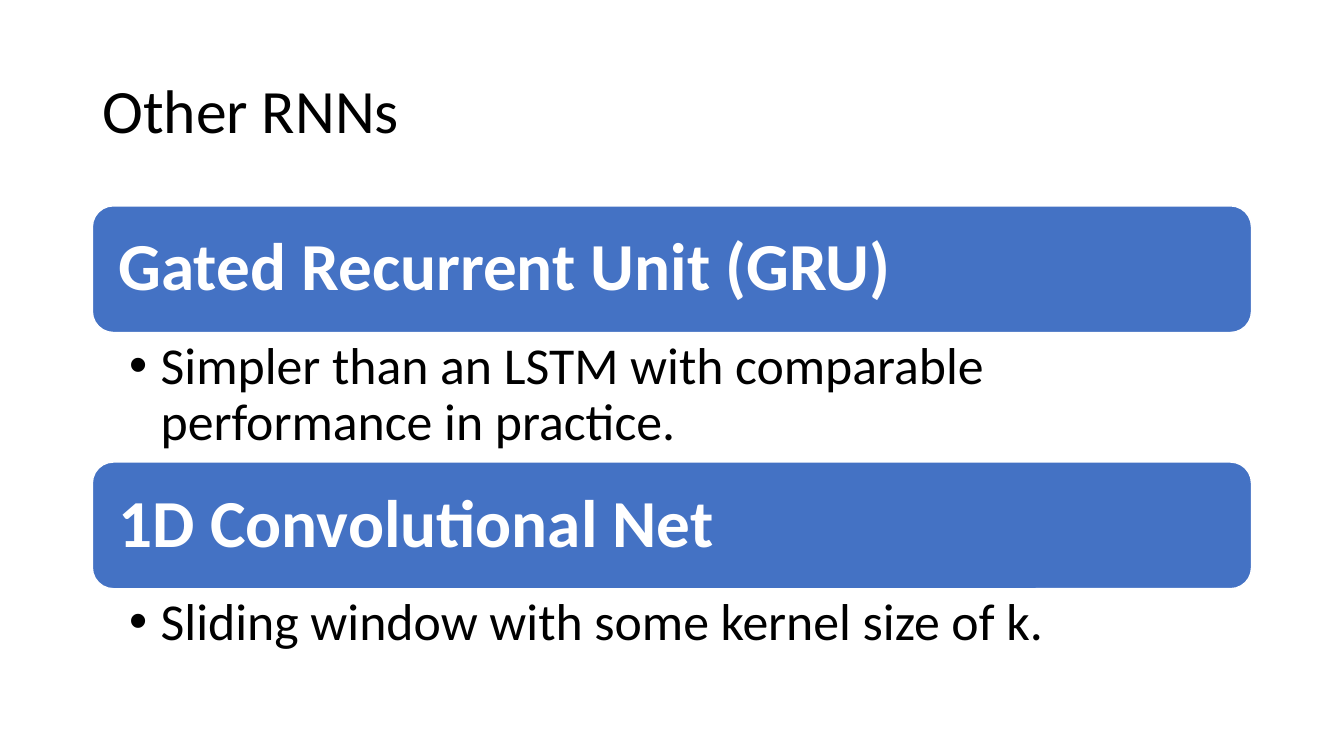
from lxml.etree import SubElement
from pptx import Presentation
from pptx.dml.color import RGBColor
from pptx.enum.shapes import MSO_SHAPE
from pptx.enum.text import MSO_ANCHOR, PP_ALIGN
from pptx.oxml.ns import qn
from pptx.util import Pt

BLUE = RGBColor(0x44, 0x72, 0xC4)
WHITE = RGBColor(0xFF, 0xFF, 0xFF)
BLACK = RGBColor(0x00, 0x00, 0x00)
FONT = "Calibri"

LEFT, WIDTH = 66, 828
SECTIONS_TOP = 147
BAR_HEIGHT = 90.5
BULLET_INDENT = 22.5

# Heading, detail, height of the detail text
SECTIONS = [
    ("Gated Recurrent Unit (GRU)",
     "Simpler than an LSTM with comparable performance in practice.", 92.5),
    ("1D Convolutional Net",
     "Sliding window with some kernel size of k.", 62.5),
]


def write_text(shape, text, size, color, margins, anchor, bold=False):
    frame = shape.text_frame
    frame.word_wrap = True
    frame.vertical_anchor = anchor
    side, edge = margins
    frame.margin_left = frame.margin_right = Pt(side)
    frame.margin_top = frame.margin_bottom = Pt(edge)
    paragraph = frame.paragraphs[0]
    paragraph.text = text
    paragraph.alignment = PP_ALIGN.LEFT
    paragraph.line_spacing = 0.9
    font = paragraph.font
    font.name, font.size, font.bold = FONT, Pt(size), bold
    font.color.rgb = color
    return paragraph


def add_title(slide, text):
    box = slide.shapes.add_textbox(Pt(LEFT), Pt(28.75), Pt(WIDTH), Pt(104.4))
    write_text(box, text, 44, BLACK, (7.2, 3.6), MSO_ANCHOR.MIDDLE)


def add_heading_bar(slide, text, top):
    bar = slide.shapes.add_shape(
        MSO_SHAPE.ROUNDED_RECTANGLE, Pt(LEFT), Pt(top), Pt(WIDTH), Pt(BAR_HEIGHT))
    bar.shadow.inherit = False
    bar.fill.solid()
    bar.fill.fore_color.rgb = BLUE
    bar.line.color.rgb = WHITE
    bar.line.width = Pt(1)
    # The rounded corners add about 4.4 pt to the text margins
    write_text(bar, text, 48, WHITE, (14.4, 14.4), MSO_ANCHOR.MIDDLE, bold=True)


def add_detail(slide, text, top, height):
    box = slide.shapes.add_textbox(Pt(LEFT), Pt(top), Pt(WIDTH), Pt(height))
    paragraph = write_text(box, text, 37, BLACK, (26.3, 5), MSO_ANCHOR.TOP)
    # Hanging bullet
    properties = paragraph._p.get_or_add_pPr()
    properties.set("marL", str(Pt(BULLET_INDENT)))
    properties.set("indent", str(-Pt(BULLET_INDENT)))
    SubElement(properties, qn("a:buFont"), typeface="Arial")
    SubElement(properties, qn("a:buChar"), char="•")


def main():
    presentation = Presentation()
    presentation.slide_width, presentation.slide_height = Pt(960), Pt(540)
    slide = presentation.slides.add_slide(presentation.slide_layouts[6])

    add_title(slide, "Other RNNs")

    # Stacked sections: each bar is followed by its detail
    top = SECTIONS_TOP
    for heading, detail, detail_height in SECTIONS:
        add_heading_bar(slide, heading, top)
        add_detail(slide, detail, top + BAR_HEIGHT, detail_height)
        top += BAR_HEIGHT + detail_height

    presentation.save("out.pptx")


if __name__ == "__main__":
    main()
